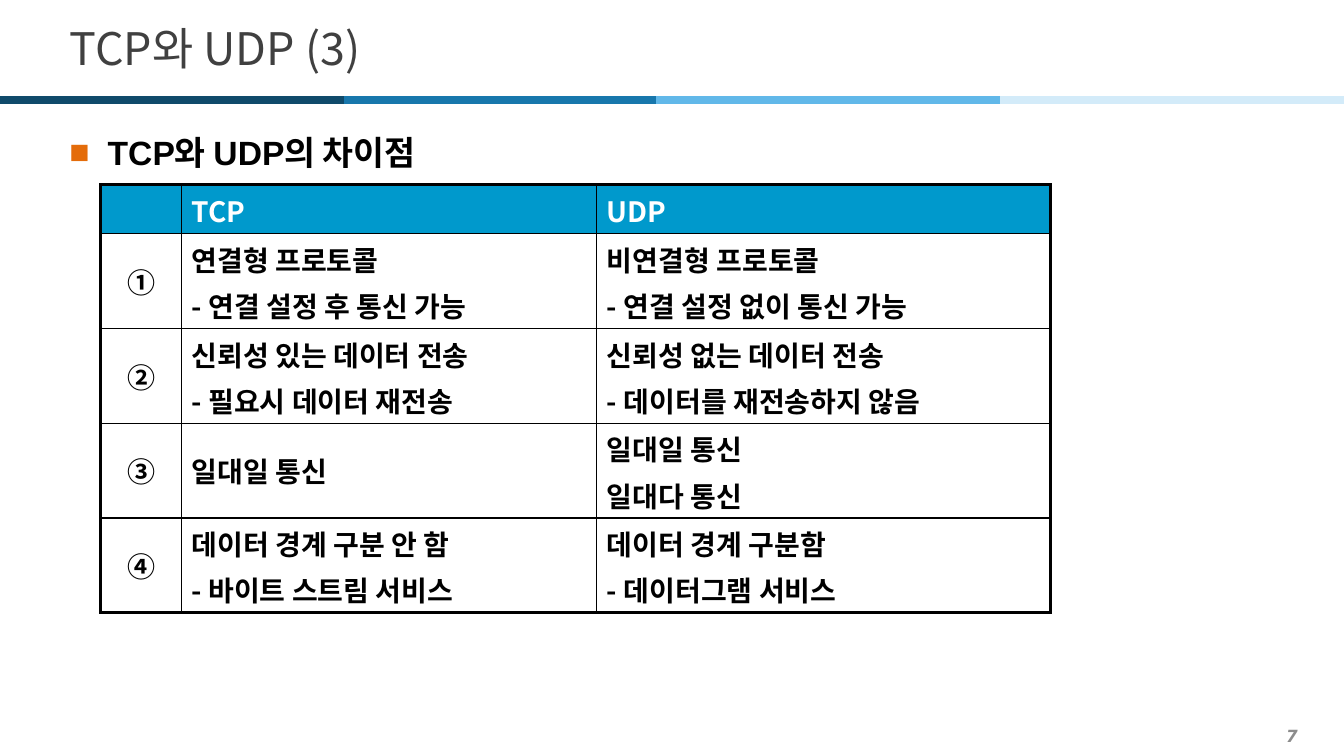
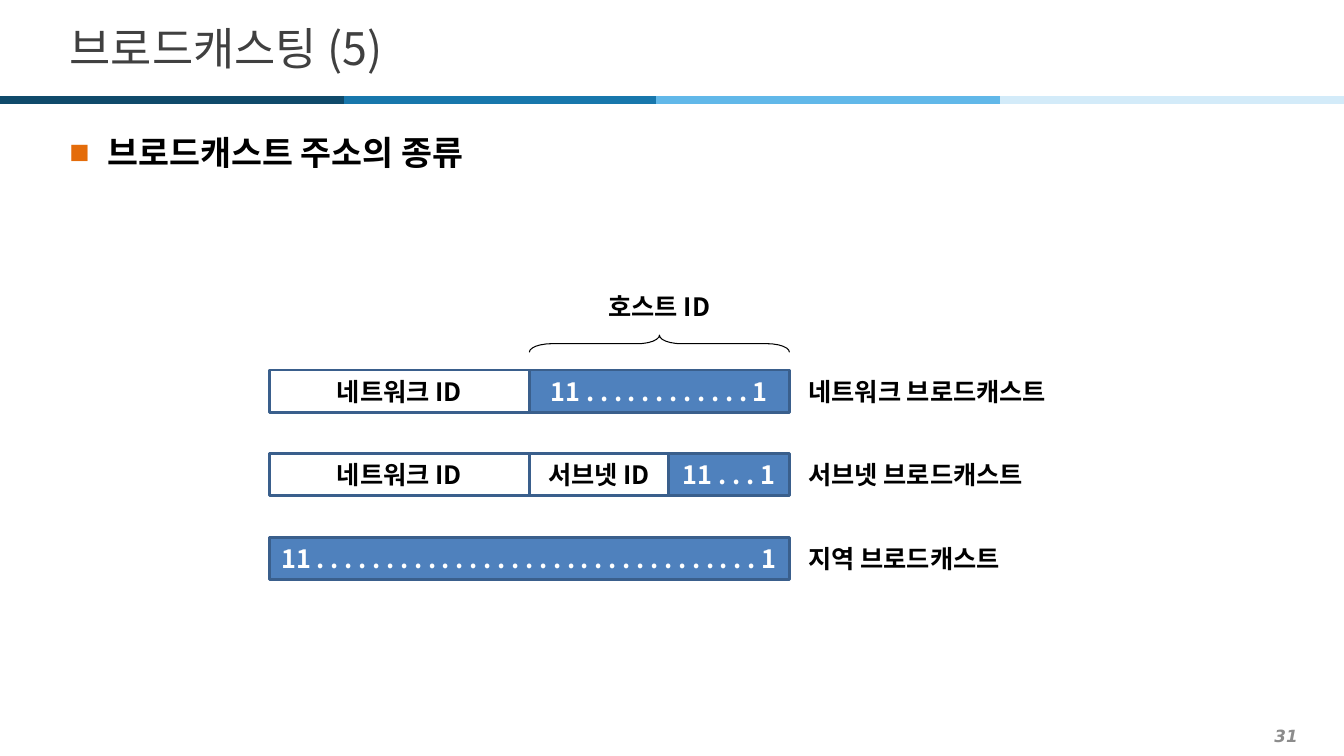
from dataclasses import dataclass
from lxml import etree
from pptx import Presentation
from pptx.dml.color import RGBColor
from pptx.enum.shapes import MSO_CONNECTOR, MSO_SHAPE
from pptx.enum.text import MSO_ANCHOR, PP_ALIGN
from pptx.oxml.ns import qn
from pptx.util import Inches, Pt

LEFT, CENTER, RIGHT = PP_ALIGN.LEFT, PP_ALIGN.CENTER, PP_ALIGN.RIGHT
TOP, MIDDLE = MSO_ANCHOR.TOP, MSO_ANCHOR.MIDDLE
STRAIGHT = MSO_CONNECTOR.STRAIGHT
RECT, BRACE = MSO_SHAPE.RECTANGLE, MSO_SHAPE.LEFT_BRACE


@dataclass(frozen=True)
class Theme:
    sans: str = "Noto Sans CJK KR"
    head: str = "Arial"
    foot: str = "DejaVu Sans"
    black: str = "000000"
    white: str = "FFFFFF"
    title: str = "404040"
    grey: str = "8C8C8C"
    mark: str = "E46C0A"
    header: str = "0099CC"
    fill: str = "4F81BD"
    edge: str = "3A5F8C"
    title_size: int = 32
    head_size: int = 24
    cell_size: int = 20
    box_size: int = 18
    foot_size: int = 12


T = Theme()

# (start, end, colour), back to front
BAND_Y = 0.99
BANDS = [
    (3.1, 6.51, "1877AC"),
    (6.51, 9.92, "61B8E9"),
    (9.92, 13.33, "D3EBF9"),
    (0, 3.41, "0F4A6B"),
]

COMPARE = {"page": "7", "title": "TCP와 UDP (3)", "head": "TCP와 UDP의 차이점"}
COLS = [0.8, 4.12, 4.5]
ROWS = [0.49, 0.94, 0.94, 0.94, 0.94]
CELLS = [
    ([], ["TCP"], ["UDP"]),
    (["①"], ["연결형 프로토콜", "- 연결 설정 후 통신 가능"],
     ["비연결형 프로토콜", "- 연결 설정 없이 통신 가능"]),
    (["②"], ["신뢰성 있는 데이터 전송", "- 필요시 데이터 재전송"],
     ["신뢰성 없는 데이터 전송", "- 데이터를 재전송하지 않음"]),
    (["③"], ["일대일 통신"], ["일대일 통신", "일대다 통신"]),
    (["④"], ["데이터 경계 구분 안 함", "- 바이트 스트림 서비스"],
     ["데이터 경계 구분함", "- 데이터그램 서비스"]),
]

CAST = {"page": "31", "title": "브로드캐스팅 (5)", "head": "브로드캐스트 주소의 종류"}
HALF = 2.58
# label, then (text, width, filled) for each field
FIELDS = [
    ("네트워크 브로드캐스트",
     [("네트워크 ID", HALF, False),
      ("11 " + ". " * 12 + "1", HALF, True)]),
    ("서브넷 브로드캐스트",
     [("네트워크 ID", HALF, False), ("서브넷 ID", 1.38, False),
      ("11 . . . 1", 1.2, True)]),
    ("지역 브로드캐스트", [("11 " + ". " * 32 + "1", 2 * HALF, True)]),
]


def rgb(code):
    return RGBColor.from_string(code)


def inches(*nums):
    return [Inches(n) for n in nums]


def write(par, text, size, color, font=T.sans, bold=True, italic=False):
    run = par.add_run()
    run.text = text
    face = run.font
    face.size, face.bold, face.italic = Pt(size), bold, italic
    face.color.rgb = rgb(color)
    face.name = font
    east = etree.SubElement(run._r.get_or_add_rPr(), qn("a:ea"))
    east.set("typeface", T.sans)


def frame(shape, align=LEFT, anchor=MIDDLE, wrap=True):
    """Set up the text frame and return its first paragraph."""
    body = shape.text_frame
    body.word_wrap, body.vertical_anchor = wrap, anchor
    par = body.paragraphs[0]
    par.alignment = align
    return par


def text_box(slide, at, align=LEFT, anchor=MIDDLE):
    return frame(slide.shapes.add_textbox(*inches(*at)), align, anchor)


def add_bands(slide):
    for start, end, color in BANDS:
        band = slide.shapes.add_connector(
            STRAIGHT, *inches(start, BAND_Y, end, BAND_Y))
        band.line.color.rgb = rgb(color)
        band.line.width = Pt(6)
        etree.SubElement(band._element.spPr, qn("a:effectLst"))


def add_bullet(par):
    par.line_spacing, par.space_after = 1.2, Pt(2)
    props = par._p.get_or_add_pPr()
    props.set("marL", str(Inches(0.38)))
    props.set("indent", str(Inches(-0.38)))
    tint = etree.SubElement(props, qn("a:buClr"))
    etree.SubElement(tint, qn("a:srgbClr")).set("val", T.mark)
    etree.SubElement(props, qn("a:buFont")).set("typeface", T.head)
    etree.SubElement(props, qn("a:buChar")).set("char", "■")


def new_slide(deck, info):
    slide = deck.slides.add_slide(deck.slide_layouts[5])
    add_bands(slide)
    title = slide.shapes.title
    title.left, title.top, title.width, title.height = inches(
        0.59, 0.13, 12.21, 0.68)
    write(frame(title), info["title"], T.title_size, T.title, bold=False)
    head = text_box(slide, (0.59, 1.18, 12.21, 6.03), anchor=TOP)
    add_bullet(head)
    write(head, info["head"], T.head_size, T.black, T.head)
    page = text_box(slide, (0.2, 7.14, 12.77, 0.31), RIGHT)
    write(page, info["page"], T.foot_size, T.grey, T.foot, italic=True)
    return slide


def add_borders(cell, row, col):
    """Rule a cell: thick on the rim of the table, thin inside."""
    rim = {"L": col == 0, "R": col == len(COLS) - 1,
           "T": row == 0, "B": row == len(ROWS) - 1}
    props = cell._tc.get_or_add_tcPr()
    for side, thick in rim.items():
        line = etree.SubElement(props, qn("a:ln" + side))
        line.set("w", str(Pt(2.25 if thick else 1)))
        paint = etree.SubElement(line, qn("a:solidFill"))
        etree.SubElement(paint, qn("a:srgbClr")).set("val", T.black)


def fill_cell(cell, lines, row, col):
    add_borders(cell, row, col)
    cell.vertical_anchor = MIDDLE
    if row == 0:
        cell.fill.solid()
        cell.fill.fore_color.rgb = rgb(T.header)
    else:
        cell.fill.background()
    body = cell.text_frame
    for num, line in enumerate(lines):
        par = body.add_paragraph() if num else body.paragraphs[0]
        par.alignment = LEFT if col else CENTER
        par.space_before = Pt(4)
        write(par, line, T.cell_size, T.black if row else T.white)


def add_grid(slide):
    grid = slide.shapes.add_table(
        len(ROWS), len(COLS),
        *inches(1, 1.83, sum(COLS), sum(ROWS))).table
    grid.first_row = grid.horz_banding = False
    for col, width in enumerate(COLS):
        grid.columns[col].width = Inches(width)
    for row, height in enumerate(ROWS):
        grid.rows[row].height = Inches(height)
        for col, lines in enumerate(CELLS[row]):
            fill_cell(grid.cell(row, col), lines, row, col)


def add_field(slide, at, text, filled):
    box = slide.shapes.add_shape(RECT, *inches(*at))
    box.shadow.inherit = False
    box.line.color.rgb, box.line.width = rgb(T.edge), Pt(2)
    if filled:
        box.fill.solid()
        box.fill.fore_color.rgb = rgb(T.fill)
    else:
        box.fill.background()
    write(frame(box, CENTER, wrap=False), text, T.box_size,
          T.white if filled else T.black)


def add_fields(slide):
    left, top, step, high = 2.67, 3.67, 0.83, 0.42
    for num, (label, parts) in enumerate(FIELDS):
        x, y = left, top + num * step
        for text, width, filled in parts:
            add_field(slide, (x, y, width, high), text, filled)
            x += width
        par = text_box(slide, (7.92, y, 2.75, high))
        write(par, label, T.box_size, T.black)

    mid, thin = left + 1.5 * HALF, 0.17
    par = text_box(slide, (mid - 0.96, 2.83, 1.92, high), CENTER)
    write(par, "호스트 ID", T.box_size, T.black)
    brace = slide.shapes.add_shape(
        BRACE, *inches(mid - thin / 2, 2.12, thin, HALF))
    brace.rotation = 90
    brace.adjustments[0] = 1.29
    brace.shadow.inherit = False
    brace.fill.background()
    brace.line.color.rgb, brace.line.width = rgb(T.black), Pt(0.75)


def main():
    deck = Presentation()
    deck.slide_width, deck.slide_height = inches(13.33, 7.5)
    add_grid(new_slide(deck, COMPARE))
    add_fields(new_slide(deck, CAST))
    deck.save("out.pptx")


if __name__ == "__main__":
    main()
